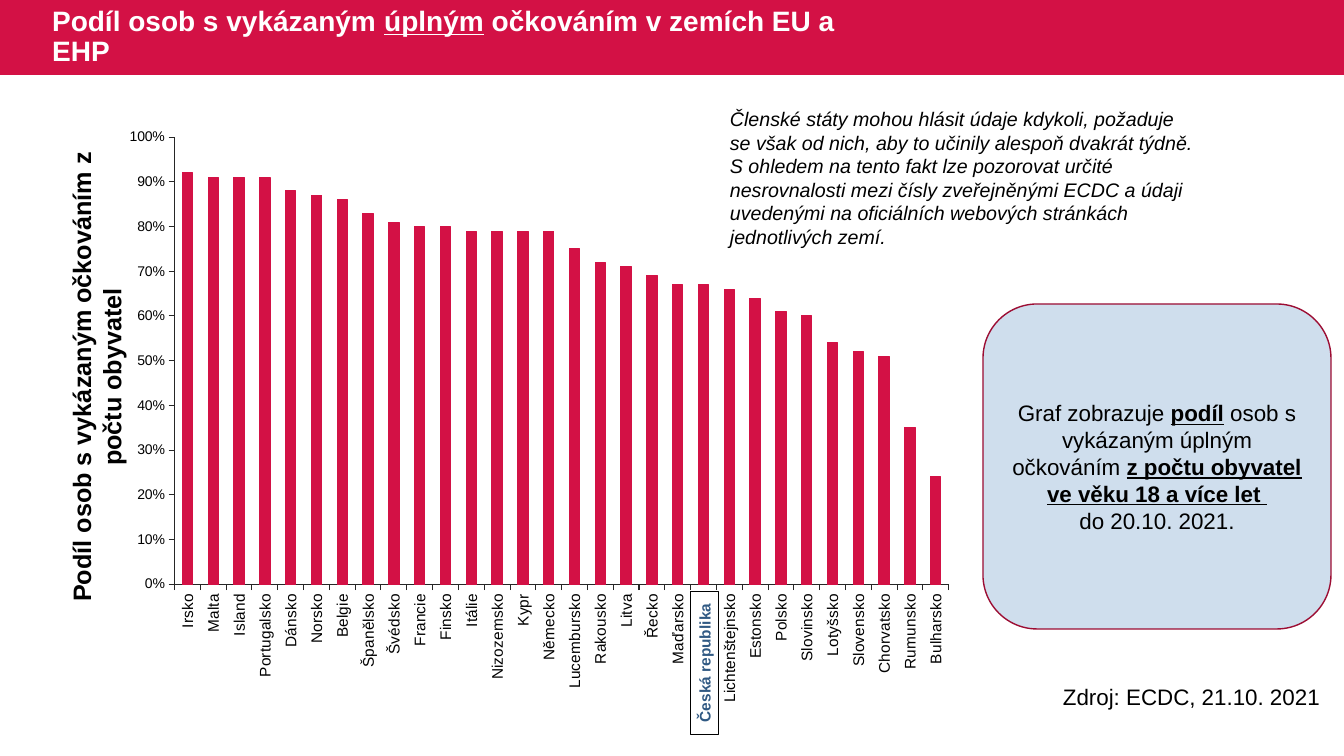
from lxml.etree import SubElement
from pptx import Presentation
from pptx.chart.data import CategoryChartData
from pptx.dml.color import RGBColor as RGB
from pptx.enum.chart import XL_CHART_TYPE as Kind, XL_TICK_MARK as Tick
from pptx.enum.shapes import MSO_SHAPE as Form
from pptx.enum.text import MSO_ANCHOR as Anchor, MSO_AUTO_SIZE as Fit, PP_ALIGN as Align
from pptx.oxml.ns import qn
from pptx.util import Pt

PX = 914400 / 100.8
FONT = "Arial"
HUES = {
    "red": "D31145", "wine": "9C0D33", "pale": "CFDEED", "blue": "305983",
    "black": "000000", "white": "FFFFFF", "axis": "262626", "grey": "404040",
}
SHARES = {
    "Irsko": 0.92, "Malta": 0.91, "Island": 0.91, "Portugalsko": 0.91,
    "Dánsko": 0.88, "Norsko": 0.87, "Belgie": 0.86, "Španělsko": 0.83,
    "Švédsko": 0.81, "Francie": 0.8, "Finsko": 0.8, "Itálie": 0.79,
    "Nizozemsko": 0.79, "Kypr": 0.79, "Německo": 0.79, "Lucembursko": 0.75,
    "Rakousko": 0.72, "Litva": 0.71, "Řecko": 0.69, "Maďarsko": 0.67,
    "Česká republika": 0.67, "Lichtenštejnsko": 0.66, "Estonsko": 0.64,
    "Polsko": 0.61, "Slovinsko": 0.6, "Lotyšsko": 0.54, "Slovensko": 0.52,
    "Chorvatsko": 0.51, "Rumunsko": 0.35, "Bulharsko": 0.24,
}


def hue(name):
    return RGB.from_string(HUES[name])


def write(shape, *paras, size, color="black", bold=False, italic=False,
          align=Align.LEFT, anchor=Anchor.TOP, space=None):
    """Fill a shape with paragraphs; runs split by | alternate plain and underlined bold."""
    frame = shape.text_frame
    frame.word_wrap = True
    frame.auto_size = Fit.NONE
    frame.vertical_anchor = anchor
    for i, text in enumerate(paras):
        para = frame.add_paragraph() if i else frame.paragraphs[0]
        para.alignment = align
        para.line_spacing = space
        for j, part in enumerate(text.split("|")):
            run = para.add_run()
            run.text = part
            font = run.font
            font.name, font.size, font.italic = FONT, Pt(size), italic
            font.color.rgb = hue(color)
            font.bold = bold or j % 2 == 1
            font.underline = j % 2 == 1


deck = Presentation()
deck.slide_width, deck.slide_height = round(1344 * PX), round(756 * PX)
slide = deck.slides.add_slide(deck.slide_layouts[5])
shapes = slide.shapes


def place(add, *box, form=None, fill=None, line=None):
    """Add a text box, or a preset shape when a form is given, at a box in px."""
    box = [round(n * PX) for n in box]
    if form is None:
        return add(*box)
    shape = add(form, *box)
    shape.shadow.inherit = False
    shape.fill.solid()
    shape.fill.fore_color.rgb = hue(fill)
    if line:
        shape.line.color.rgb = hue(line)
        shape.line.width = Pt(1)
    else:
        shape.line.fill.background()
    return shape


# Header
band = place(shapes.add_shape, 0, 0, 1344, 75, form=Form.RECTANGLE, fill="red")
shapes._spTree.insert(2, band._element)
title = shapes.title
title.left, title.top, title.width, title.height = [round(n * PX) for n in (42, 0, 823, 75)]
write(title, "Podíl osob s vykázaným |úplným| očkováním v zemích EU a EHP",
      size=20, color="white", bold=True, anchor=Anchor.MIDDLE, space=0.9)

label = place(shapes.add_textbox, -156, 341, 506, 72)
label.rotation = 270
write(label, "Podíl osob s vykázaným očkováním z počtu obyvatel",
      size=18, bold=True, align=Align.CENTER)

# Chart
data = CategoryChartData(number_format="0%")
data.categories = list(SHARES)
data.add_series("Podíl", list(SHARES.values()))
box = [round(n * PX) for n in (117, 109, 847, 600)]
chart = shapes.add_chart(Kind.COLUMN_CLUSTERED, *box, data).chart
chart.has_legend = chart.has_title = False
chart.font.name, chart.font.size = FONT, Pt(10)
chart.font.color.rgb = hue("grey")
plot = chart.plots[0]
plot.gap_width = 150
plot.vary_by_categories = False
bars = plot.series[0].format
bars.fill.solid()
bars.fill.fore_color.rgb = bars.line.color.rgb = hue("red")
bars.line.width = Pt(0.75)

for axis, size in (chart.category_axis, 11), (chart.value_axis, 10):
    axis.has_major_gridlines = False
    axis.major_tick_mark, axis.minor_tick_mark = Tick.OUTSIDE, Tick.NONE
    axis.format.line.color.rgb = hue("axis")
    axis.format.line.width = Pt(0.75)
    font = axis.tick_labels.font
    font.name, font.size = FONT, Pt(size)
    font.color.rgb = hue("black")
scale = chart.value_axis
scale.minimum_scale, scale.maximum_scale, scale.major_unit = 0, 1, 0.1
scale.tick_labels.number_format = "0%"
scale.tick_labels.number_format_is_linked = False
turn = chart.category_axis._element.find(qn("c:txPr")).find(qn("a:bodyPr"))
turn.set("rot", "-5400000")
turn.set("vert", "horz")

area = chart._chartSpace.chart.plotArea
layout = area.find(qn("c:layout"))
if layout is None:
    layout = SubElement(area, qn("c:layout"))
    area.insert(0, layout)
manual = SubElement(layout, qn("c:manualLayout"))
for tag, val in (("layoutTarget", "inner"), ("xMode", "edge"), ("yMode", "edge"),
                 ("x", 0.068), ("y", 0.047), ("w", 0.914), ("h", 0.745)):
    SubElement(manual, qn("c:" + tag)).set("val", str(val))

# Notes beside the chart
card = place(shapes.add_shape, 983, 304, 348, 325,
             form=Form.ROUNDED_RECTANGLE, fill="pale", line="wine")
write(card, "Graf zobrazuje |podíl| osob s vykázaným úplným očkováním "
      "|z počtu obyvatel ve věku 18 a více let ", "do 20.10. 2021.",
      size=16, align=Align.CENTER, anchor=Anchor.MIDDLE)

czech = place(shapes.add_shape, 633, 649, 143, 28,
              form=Form.RECTANGLE, fill="white", line="black")
czech.rotation = 270
write(czech, "Česká republika", size=11, color="blue", bold=True,
      align=Align.CENTER, anchor=Anchor.MIDDLE)

origin = place(shapes.add_textbox, 1053, 678, 316, 37)
write(origin, "Zdroj: ECDC, 21.10. 2021", size=16)

note = place(shapes.add_textbox, 720, 102, 490, 152)
write(note, "Členské státy mohou hlásit údaje kdykoli, požaduje se však od nich, "
      "aby to učinily alespoň dvakrát týdně. S ohledem na tento fakt lze pozorovat "
      "určité nesrovnalosti mezi čísly zveřejněnými ECDC a údaji uvedenými na "
      "oficiálních webových stránkách jednotlivých zemí.", size=14, italic=True)

deck.save("out.pptx")
